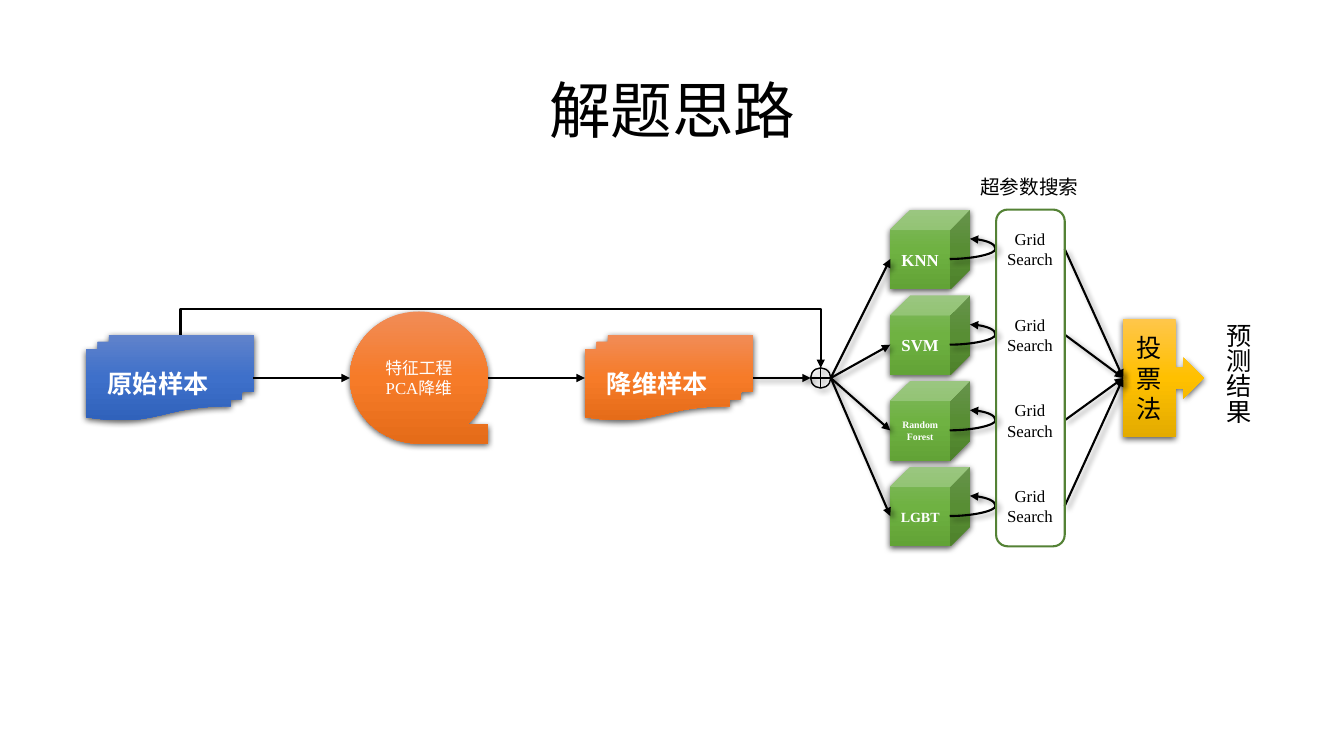
from lxml import etree
from pptx import Presentation
from pptx.dml.color import RGBColor
from pptx.enum import shapes, text
from pptx.oxml.ns import qn
from pptx.util import Inches, Pt

LATIN, CHINESE = "Times New Roman", "Noto Sans CJK SC"
BLACK, WHITE = "000000", "FFFFFF"
BLUE = ("6183CB", "3E70CA", "3062BB")
ORANGE = ("F18C57", "F67B28", "E56C19")
GREEN = ("81B861", "6FB242", "62A336")
GOLD = ("FFC64B", "FFC000", "E3AB00")
FRAME_GREEN = "548235"
# opacity %, blur pt, distance pt, direction in degrees
BLOCK_SHADOW = (63, 4.5, 1.5, 90)
LINE_SHADOW = (40, 4, 3, 45)

KIND = shapes.MSO_SHAPE
LINK = shapes.MSO_CONNECTOR
TITLE = "解题思路"
STAGES = [
    (KIND.FLOWCHART_MULTIDOCUMENT, (0.85, 3.32, 1.67, 0.85), BLUE,
     "原始样本", dict(size=18, bold=True)),
    (KIND.FLOWCHART_SEQUENTIAL_ACCESS_STORAGE, (3.47, 3.09, 1.37, 1.31), ORANGE,
     "特征工程\nPCA降维", dict(size=12, inset=0)),
    (KIND.FLOWCHART_MULTIDOCUMENT, (5.8, 3.32, 1.67, 0.85), ORANGE,
     "降维样本", dict(size=18, bold=True)),
    (KIND.RIGHT_ARROW_CALLOUT, (11.14, 3.16, 0.8, 1.18), GOLD,
     "投票法", dict(size=18, color=BLACK)),
]
MODELS = [("KNN", 12), ("SVM", 12), ("Random\nForest", 7), ("LGBT", 10)]
SEARCH, SEARCH_HEADING, RESULT = "Grid Search", "超参数搜索", "预测结果"

AXIS_Y = 3.75
MERGE_X, MERGE_SIZE = 8.04, 0.2
MODEL_X, MODEL_TOP, MODEL_SIZE, MODEL_PITCH = 8.83, 2.08, 0.79, 0.85
SEARCH_X, SEARCH_RIGHT, VOTE_X = 9.87, 10.56, 11.14

prs = Presentation()
prs.slide_width, prs.slide_height = Inches(13.33), Inches(7.5)
slide = prs.slides.add_slide(prs.slide_layouts[6])


def rgb(color):
    """Turn a hex string into a colour."""
    return RGBColor.from_string(color)


def child(parent, tag, **attributes):
    """Append a DrawingML element with the given attributes."""
    element = etree.SubElement(parent, qn("a:" + tag))
    for key, value in attributes.items():
        element.set(key, str(value))
    return element


def set_shadow(item, shadow=None):
    """Give the item this outer shadow, or none at all."""
    effects = child(item._element.spPr, "effectLst")
    if shadow:
        opacity, blur, distance, angle = shadow
        outer = child(effects, "outerShdw", blurRad=Pt(blur), dist=Pt(distance),
                      dir=angle * 60000, algn="ctr", rotWithShape=0)
        child(child(outer, "srgbClr", val=BLACK), "alpha", val=opacity * 1000)


def write(item, content, size=12, color=BLACK, bold=False, inset=0.1,
          anchor=text.MSO_ANCHOR.TOP, spacing=None, vertical=False):
    """Fill an item with centred text, one paragraph per line."""
    frame = item.text_frame
    frame.word_wrap, frame.vertical_anchor = True, anchor
    frame.margin_left = frame.margin_right = Inches(inset)
    if vertical:
        frame._txBody.bodyPr.set("vert", "eaVert")
    frame.text = content
    for paragraph in frame.paragraphs:
        paragraph.alignment = text.PP_ALIGN.CENTER
        paragraph.line_spacing = spacing
        font = paragraph.runs[0].font
        font.size, font.bold, font.name = Pt(size), bold, LATIN
        font.color.rgb = rgb(color)
        child(font._element, "ea", typeface=CHINESE)


def label(content, box, **style):
    """Add a text box."""
    write(slide.shapes.add_textbox(*map(Inches, box)), content, **style)


def block(kind, box, gradient, content, color=WHITE, **style):
    """Add a shaded shape with a vertical gradient and text."""
    shape = slide.shapes.add_shape(kind, *map(Inches, box))
    shape.fill.gradient()
    shape.fill.gradient_angle = 270
    stops = next(shape._element.spPr.iter(qn("a:gsLst")))
    stops.clear()
    for position, stop in zip((0, 50000, 100000), gradient):
        child(child(stops, "gs", pos=position), "srgbClr", val=stop)
    shape.line.fill.background()
    set_shadow(shape, BLOCK_SHADOW)
    write(shape, content, color=color, anchor=text.MSO_ANCHOR.MIDDLE, **style)


def outline(kind, box, color, width, shadow=None):
    """Add an unfilled shape with a coloured line."""
    shape = slide.shapes.add_shape(kind, *map(Inches, box))
    shape.fill.background()
    shape.line.color.rgb, shape.line.width = rgb(color), Pt(width)
    set_shadow(shape, shadow)


def arrow(start, end, kind=LINK.STRAIGHT, shadow=LINE_SHADOW, bend=None, turn=0):
    """Add a black arrow; bend is the middle's place as a share of the width."""
    link = slide.shapes.add_connector(kind, *map(Inches, (*start, *end)))
    link.line.color.rgb, link.line.width = rgb(BLACK), Pt(1.5)
    child(link.line._get_or_add_ln(), "tailEnd", type="triangle")
    properties = link._element.spPr
    if bend is not None:
        guides = next(properties.iter(qn("a:avLst")), None)
        if guides is None:
            guides = child(properties.find(qn("a:prstGeom")), "avLst")
        child(guides, "gd", name="adj1", fmla=f"val {round(bend * 100000)}")
    if turn:
        properties.find(qn("a:xfrm")).set("rot", str(turn * 60000))
    set_shadow(link, shadow)


label(TITLE, (0.92, 0.4, 11.5, 1.45), size=44, spacing=0.9,
      anchor=text.MSO_ANCHOR.MIDDLE)
for kind, box, gradient, content, style in STAGES:
    block(kind, box, gradient, content, **style)

# Main axis, and the bypass from the raw samples to the merge point
arrow((2.51, AXIS_Y), (3.47, AXIS_Y), shadow=None)
arrow((4.84, AXIS_Y), (5.8, AXIS_Y), shadow=None)
outline(KIND.FLOWCHART_OR, (MERGE_X, AXIS_Y - MERGE_SIZE / 2, MERGE_SIZE, MERGE_SIZE),
        BLACK, 1, LINE_SHADOW)
arrow((7.47, AXIS_Y), (MERGE_X, AXIS_Y))
arrow((5.13, 0.31), (4.8, 6.66), LINK.ELBOW, shadow=None, bend=-0.76, turn=270)

for row, (model, size) in enumerate(MODELS):
    top = MODEL_TOP + row * MODEL_PITCH
    front_y = top + 0.49
    block(KIND.CUBE, (MODEL_X, top, MODEL_SIZE, MODEL_SIZE), GREEN, model,
          size=size, bold=True, inset=0)
    arrow((MERGE_X + MERGE_SIZE, AXIS_Y), (MODEL_X, front_y))
    arrow((MODEL_X + 0.59, front_y), (MODEL_X + MODEL_SIZE, front_y - 0.2),
          LINK.CURVE, bend=2.27)
    label(SEARCH, (SEARCH_X, top + 0.14, SEARCH_RIGHT - SEARCH_X, 0.5))
    arrow((SEARCH_RIGHT, top + 0.39), (VOTE_X, AXIS_Y))

label(RESULT, (11.98, 3.11, 0.5, 1.28), size=18, vertical=True)
outline(KIND.FLOWCHART_ALTERNATE_PROCESS, (9.88, MODEL_TOP, 0.68, 3.34),
        FRAME_GREEN, 1.5)
label(SEARCH_HEADING, (9.59, 1.69, 1.24, 0.34), size=14)

prs.save("out.pptx")
